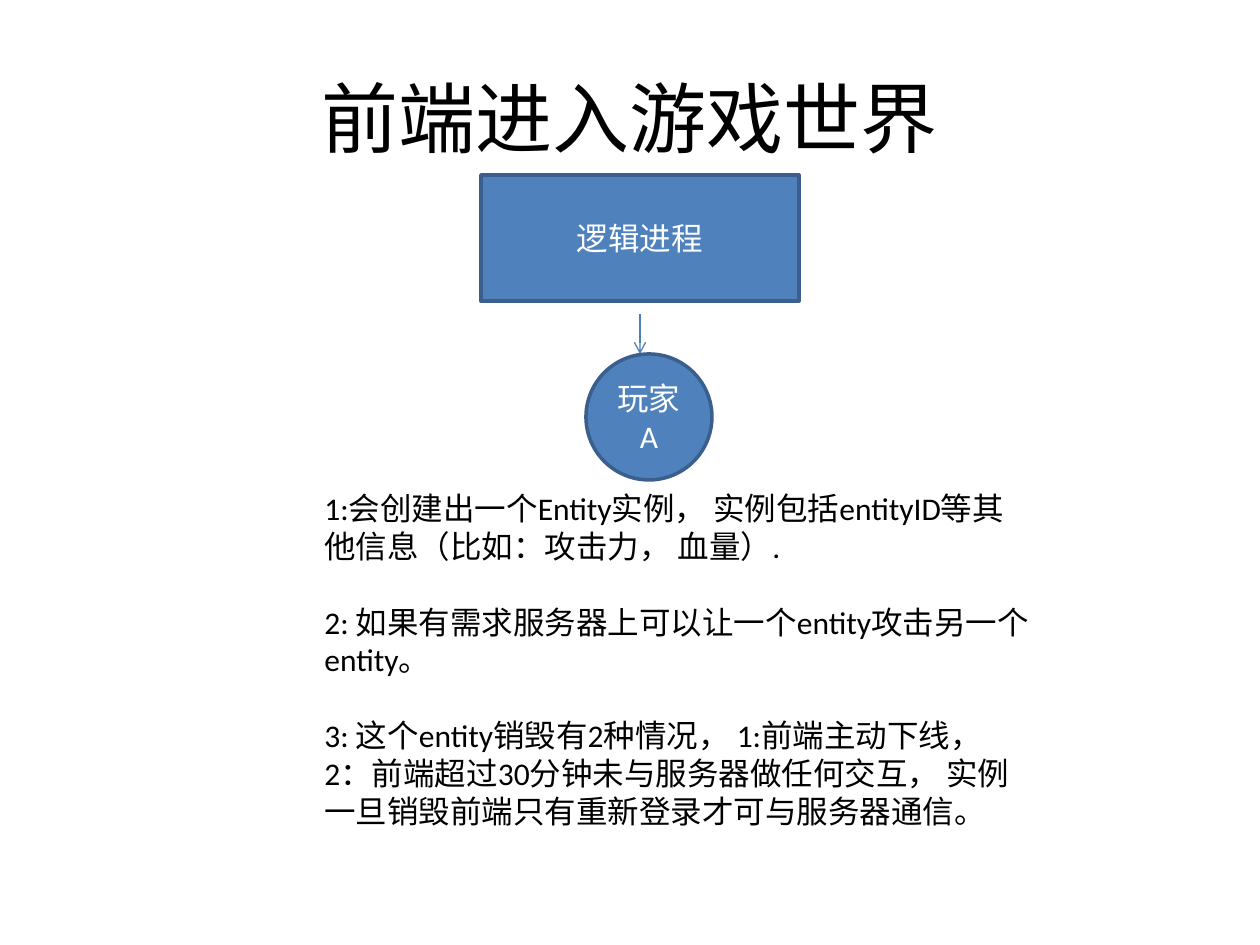
from dataclasses import dataclass
from lxml import etree
from pptx import Presentation
from pptx.dml.color import RGBColor
from pptx.enum.shapes import MSO_CONNECTOR, MSO_SHAPE
from pptx.enum.text import MSO_ANCHOR, PP_ALIGN
from pptx.oxml.ns import qn
from pptx.util import Emu, Pt

RECT, OVAL = MSO_SHAPE.RECTANGLE, MSO_SHAPE.OVAL
STRAIGHT = MSO_CONNECTOR.STRAIGHT
TOP, MIDDLE = MSO_ANCHOR.TOP, MSO_ANCHOR.MIDDLE
LEFT, CENTER = PP_ALIGN.LEFT, PP_ALIGN.CENTER
PX = 914400 / 126


@dataclass(frozen=True)
class Theme:
    font: str = "Calibri"
    ink: str = "000000"
    light: str = "FFFFFF"
    fill: str = "4F81BD"
    border: str = "3A5F8C"
    arrow: str = "4B7EBC"
    title_size: int = 44
    body_size: int = 18
    paragraph_gap: float = 21.6


def px(*values):
    return [Emu(round(v * PX)) for v in values]


class SlideBuilder:
    def __init__(self, slide, theme):
        self.s = slide
        self.theme = theme

    def set_text(self, sp, lines, size, color, align, anchor, gap=0):
        tf = sp.text_frame
        tf.word_wrap = True
        tf.vertical_anchor = anchor
        tf.text = "\n".join(lines)
        for p in tf.paragraphs:
            p.alignment = align
            p.space_after = Pt(gap)
            for r in p.runs:
                r.font.name = self.theme.font
                r.font.size = Pt(size)
                r.font.color.rgb = RGBColor.from_string(color)

    def text(self, box, lines, size, align=LEFT, anchor=TOP, gap=0):
        sp = self.s.shapes.add_textbox(*px(*box))
        self.set_text(sp, lines, size, self.theme.ink, align, anchor, gap)

    def node(self, kind, box, label):
        t = self.theme
        sp = self.s.shapes.add_shape(kind, *px(*box))
        sp.shadow.inherit = False
        sp.fill.solid()
        sp.fill.fore_color.rgb = RGBColor.from_string(t.fill)
        sp.line.color.rgb = RGBColor.from_string(t.border)
        sp.line.width = Pt(2)
        self.set_text(sp, [label], t.body_size, t.light, CENTER, MIDDLE)

    def arrow(self, x1, y1, x2, y2):
        cx = self.s.shapes.add_connector(STRAIGHT, *px(x1, y1, x2, y2))
        cx.line.color.rgb = RGBColor.from_string(self.theme.arrow)
        cx.line.width = Pt(0.75)
        sp_pr = cx.element.spPr
        etree.SubElement(sp_pr.find(qn("a:ln")), qn("a:tailEnd"), type="arrow")
        etree.SubElement(sp_pr, qn("a:effectLst"))


prs = Presentation()
prs.slide_width, prs.slide_height = px(1260, 945)
theme = Theme()
page = SlideBuilder(prs.slides.add_slide(prs.slide_layouts[6]), theme)

page.text((63, 38, 1134, 157), ["前端进入游戏世界"], theme.title_size, CENTER, MIDDLE)
page.node(RECT, (481, 175, 318, 126), "逻辑进程")
page.arrow(640, 314, 640, 354)
notes = [
    "1:会创建出一个Entity实例， 实例包括entityID等其他信息（比如：攻击力， 血量）.",
    "2: 如果有需求服务器上可以让一个entity攻击另一个entity。",
    "3: 这个entity销毁有2种情况， 1:前端主动下线， 2：前端超过30分钟未与服务器做任何交互， "
    "实例一旦销毁前端只有重新登录才可与服务器通信。",
]
page.text((312, 483, 735, 357), notes, theme.body_size, gap=theme.paragraph_gap)
page.node(OVAL, (586, 354, 126, 126), "玩家A")

prs.save("out.pptx")
